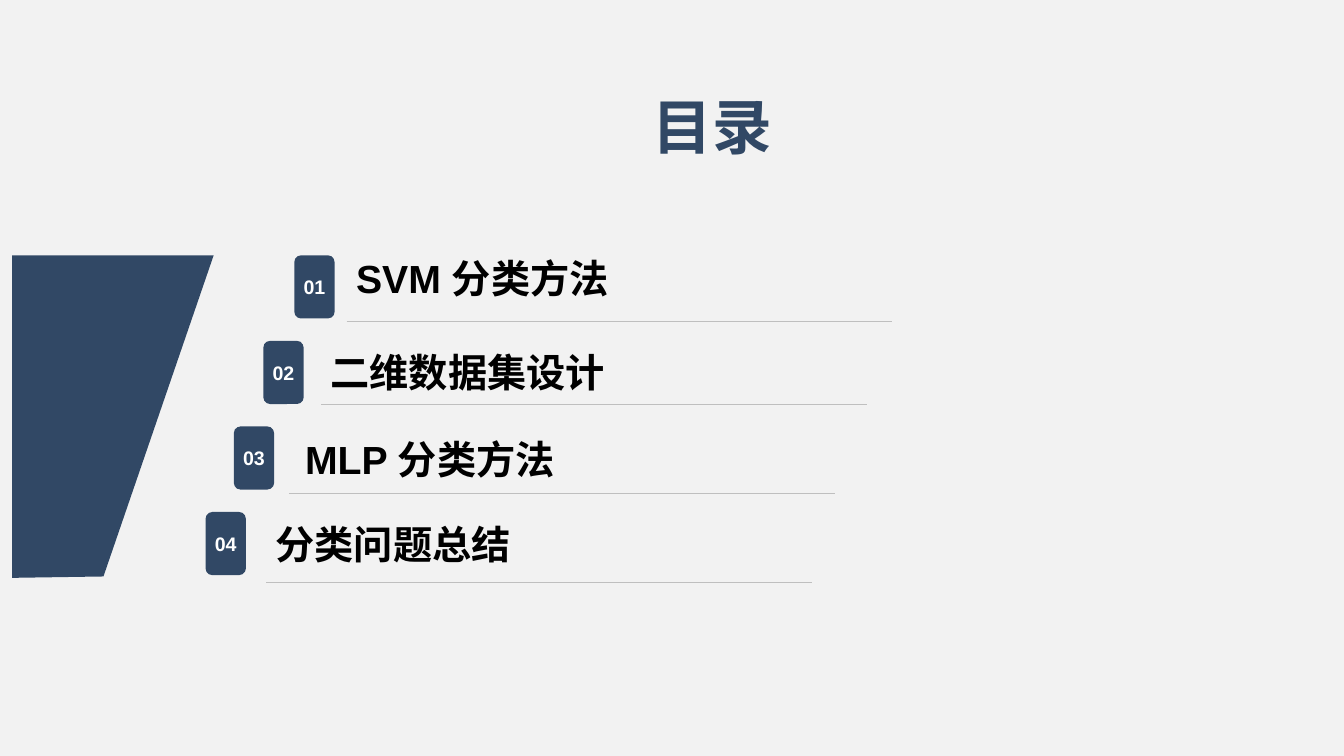
from pptx import Presentation
from pptx.dml.color import RGBColor
from pptx.enum.shapes import MSO_CONNECTOR, MSO_SHAPE
from pptx.enum.text import MSO_ANCHOR, PP_ALIGN
from pptx.oxml.ns import qn
from pptx.util import Inches, Pt
from lxml import etree

NAVY, GREY = "314865", "BFBFBF"


def rgb(value):
    """Return the colour for a hex string."""
    return RGBColor.from_string(value)


def write(sp, text, size, color, align=PP_ALIGN.LEFT, inset=(0.1, 0.05)):
    """Put one bold, vertically centred line of text in a shape."""
    tf = sp.text_frame
    tf.word_wrap = True
    tf.vertical_anchor = MSO_ANCHOR.MIDDLE
    tf.margin_left = tf.margin_right = Inches(inset[0])
    tf.margin_top = tf.margin_bottom = Inches(inset[1])
    tf.text = text
    p = tf.paragraphs[0]
    p.alignment = align
    font = p.runs[0].font
    font.name, font.size, font.bold = "Arial", Pt(size), True
    font.color.rgb = rgb(color)


prs = Presentation()
prs.slide_width = Inches(10)
prs.slide_height = Inches(10 * 9 / 16)
s = prs.slides.add_slide(prs.slide_layouts[6])
s.background.fill.solid()
s.background.fill.fore_color.rgb = rgb("F2F2F2")

# Slanted block on the left
builder = s.shapes.build_freeform(Inches(0.09), Inches(1.9))
corners = [(1.59, 1.9), (0.77, 4.29), (0.09, 4.3)]
builder.add_line_segments([(Inches(x), Inches(y)) for x, y in corners])
block = builder.convert_to_shape()
block.shadow.inherit = False
block.fill.solid()
block.fill.fore_color.rgb = rgb(NAVY)
block.line.fill.background()

title = s.shapes.add_textbox(Inches(4.76), Inches(0.54), Inches(1.67), Inches(0.79))
write(title, "目录", 32, NAVY)

# Entries: text, text box, badge left, rule left and height
entries = [
    ("SVM 分类方法", (2.58, 1.73, 2.56, 0.67), 2.19, (2.58, 2.39)),
    ("二维数据集设计", (2.39, 2.42, 2.57, 0.69), 1.96, (2.39, 3.01)),
    ("MLP 分类方法", (2.2, 3.15, 2.3, 0.53), 1.74, (2.15, 3.67)),
    ("分类问题总结", (1.98, 3.78, 2.3, 0.53), 1.53, (1.98, 4.33)),
]
BADGE_TOP, BADGE_BOTTOM, RULE_LENGTH = 1.9, 3.81, 4.06
badge_step = (BADGE_BOTTOM - BADGE_TOP) / (len(entries) - 1)

for i, (text, box, badge_x, (rule_x, rule_y)) in enumerate(entries):
    label = s.shapes.add_textbox(*[Inches(v) for v in box])
    write(label, text, 21, "000000", inset=(0.07, 0.04))

    badge = s.shapes.add_shape(
        MSO_SHAPE.ROUNDED_RECTANGLE, Inches(badge_x),
        Inches(BADGE_TOP + i * badge_step), Inches(0.3), Inches(0.47))
    badge.shadow.inherit = False
    badge.fill.solid()
    badge.fill.fore_color.rgb = rgb(NAVY)
    badge.line.fill.background()
    write(badge, f"{i + 1:02d}", 10.5, "FFFFFF", PP_ALIGN.CENTER, (0, 0))

    rule = s.shapes.add_connector(
        MSO_CONNECTOR.STRAIGHT, Inches(rule_x), Inches(rule_y),
        Inches(rule_x + RULE_LENGTH), Inches(rule_y))
    rule.line.color.rgb = rgb(GREY)
    rule.line.width = Pt(0.25)
    etree.SubElement(rule._element.spPr, qn("a:effectLst"))

prs.save("out.pptx")
